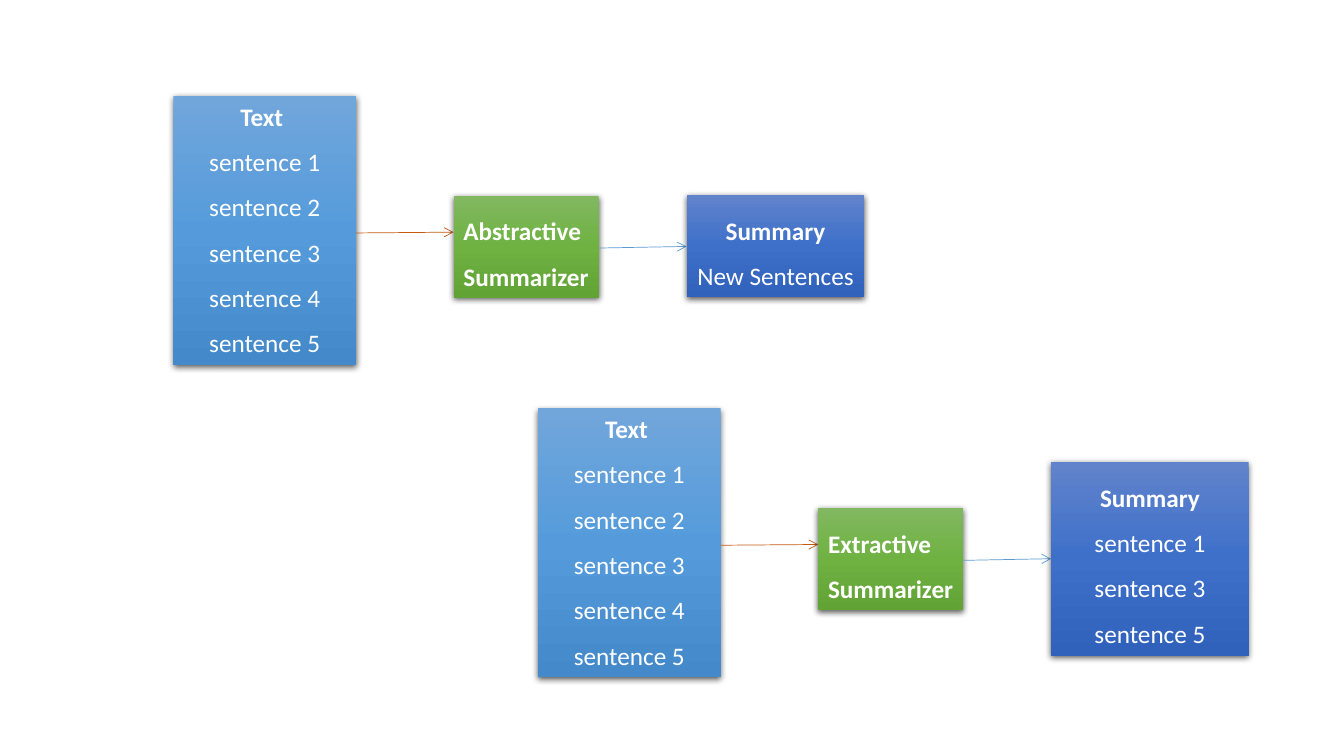
from copy import deepcopy

from lxml.etree import SubElement
from pptx import Presentation
from pptx.dml.color import RGBColor
from pptx.enum.shapes import MSO_CONNECTOR, MSO_SHAPE
from pptx.enum.text import MSO_ANCHOR, MSO_AUTO_SIZE, PP_ALIGN
from pptx.oxml.ns import qn
from pptx.util import Cm, Pt

# Colours: each box runs from light to dark, top to bottom
WHITE = RGBColor(0xFF, 0xFF, 0xFF)
ORANGE = RGBColor(0xC5, 0x5A, 0x11)
SKY = RGBColor(0x5B, 0x9B, 0xD5)
LIGHT_BLUES = (RGBColor(0x71, 0xA6, 0xDB), RGBColor(0x55, 0x9B, 0xDB), RGBColor(0x44, 0x8A, 0xCA))
GREENS = (RGBColor(0x81, 0xB8, 0x61), RGBColor(0x6F, 0xB2, 0x42), RGBColor(0x62, 0xA3, 0x36))
DARK_BLUES = (RGBColor(0x61, 0x83, 0xCB), RGBColor(0x3E, 0x70, 0xCA), RGBColor(0x30, 0x62, 0xBB))

FONT_FORMAT = {"name": "Calibri", "size": Pt(18)}
FRAME_FORMAT = {"auto_size": MSO_AUTO_SIZE.SHAPE_TO_FIT_TEXT, "vertical_anchor": MSO_ANCHOR.TOP}
SHADOW_FORMAT = {"blurRad": Pt(4.5), "dist": Pt(1.5), "dir": 5400000, "algn": "ctr", "rotWithShape": 0}


def apply_format(target, values):
    for name, value in values.items():
        setattr(target, name, value)


def add_gradient(box, colours):
    box.fill.gradient()
    box.fill.gradient_angle = 270
    stop_list = box._element.spPr.find(qn("a:gradFill")).find(qn("a:gsLst"))
    stop_list.insert(1, deepcopy(stop_list[0]))
    for stop, position, colour in zip(box.fill.gradient_stops, (0, 0.5, 1), colours):
        stop.position = position
        stop.color.rgb = colour


def add_shadow(box):
    box.shadow.inherit = False
    effects = box._element.spPr.find(qn("a:effectLst"))
    shadow = SubElement(effects, qn("a:outerShdw"))
    for name, value in SHADOW_FORMAT.items():
        shadow.set(name, str(value))
    colour = SubElement(shadow, qn("a:srgbClr"), val="000000")
    SubElement(colour, qn("a:alpha"), val="63000")


def add_box(page, place, colours, lines, bold_count=1, align=PP_ALIGN.CENTER,
            wrap=True, first_spacing=1.5):
    box = page.shapes.add_shape(MSO_SHAPE.RECTANGLE, *(Cm(length) for length in place))
    add_gradient(box, colours)
    box.line.fill.background()
    add_shadow(box)
    frame = box.text_frame
    apply_format(frame, {**FRAME_FORMAT, "word_wrap": wrap})
    for index, line in enumerate(lines):
        para = frame.paragraphs[0] if index == 0 else frame.add_paragraph()
        spacing = first_spacing if index == 0 else 1.5
        apply_format(para, {"alignment": align, "line_spacing": spacing})
        span = para.add_run()
        span.text = line
        apply_format(span.font, {**FONT_FORMAT, "bold": index < bold_count})
        span.font.color.rgb = WHITE


def add_arrow(page, start, end, colour):
    points = (Cm(length) for length in (*start, *end))
    arrow = page.shapes.add_connector(MSO_CONNECTOR.STRAIGHT, *points)
    arrow.line.width = Pt(0.5)
    arrow.line.color.rgb = colour
    properties = arrow._element.spPr
    SubElement(properties.find(qn("a:ln")), qn("a:tailEnd"), type="arrow")
    SubElement(properties, qn("a:effectLst"))


def add_flow(page, left, top, method, summary_place, summary_lines, summary_wrap):
    """Text -> summarizer -> summary, all placed from the text box's corner."""
    sentences = [f"sentence {number}" for number in range(1, 6)]
    add_box(page, (left, top, 4.6, 6.78), LIGHT_BLUES, ["Text ", *sentences], first_spacing=1)
    add_arrow(page, (left + 4.6, top + 3.45), (left + 7.06, top + 3.43), ORANGE)
    add_box(page, (left + 7.06, top + 2.51, 3.66, 2.57), GREENS, [method, "Summarizer"],
            bold_count=2, align=PP_ALIGN.LEFT, wrap=False)
    add_arrow(page, (left + 10.72, top + 3.83), (left + 12.93, top + 3.79), SKY)
    across, down, width, height = summary_place
    add_box(page, (left + across, top + down, width, height), DARK_BLUES,
            ["Summary", *summary_lines], wrap=summary_wrap)


def main():
    deck = Presentation()
    apply_format(deck, {"slide_width": Cm(33.87), "slide_height": Cm(19.05)})
    page = deck.slides.add_slide(deck.slide_layouts[6])

    # Abstractive summary: new wording
    add_flow(page, 4.37, 2.42, "Abstractive ", (12.95, 2.49, 4.45, 2.57),
             ["New Sentences"], False)

    # Extractive summary: chosen sentences
    add_flow(page, 13.56, 10.29, "Extractive", (12.93, 1.35, 4.98, 4.88),
             [f"sentence {number}" for number in (1, 3, 5)], True)

    deck.save("out.pptx")


main()
